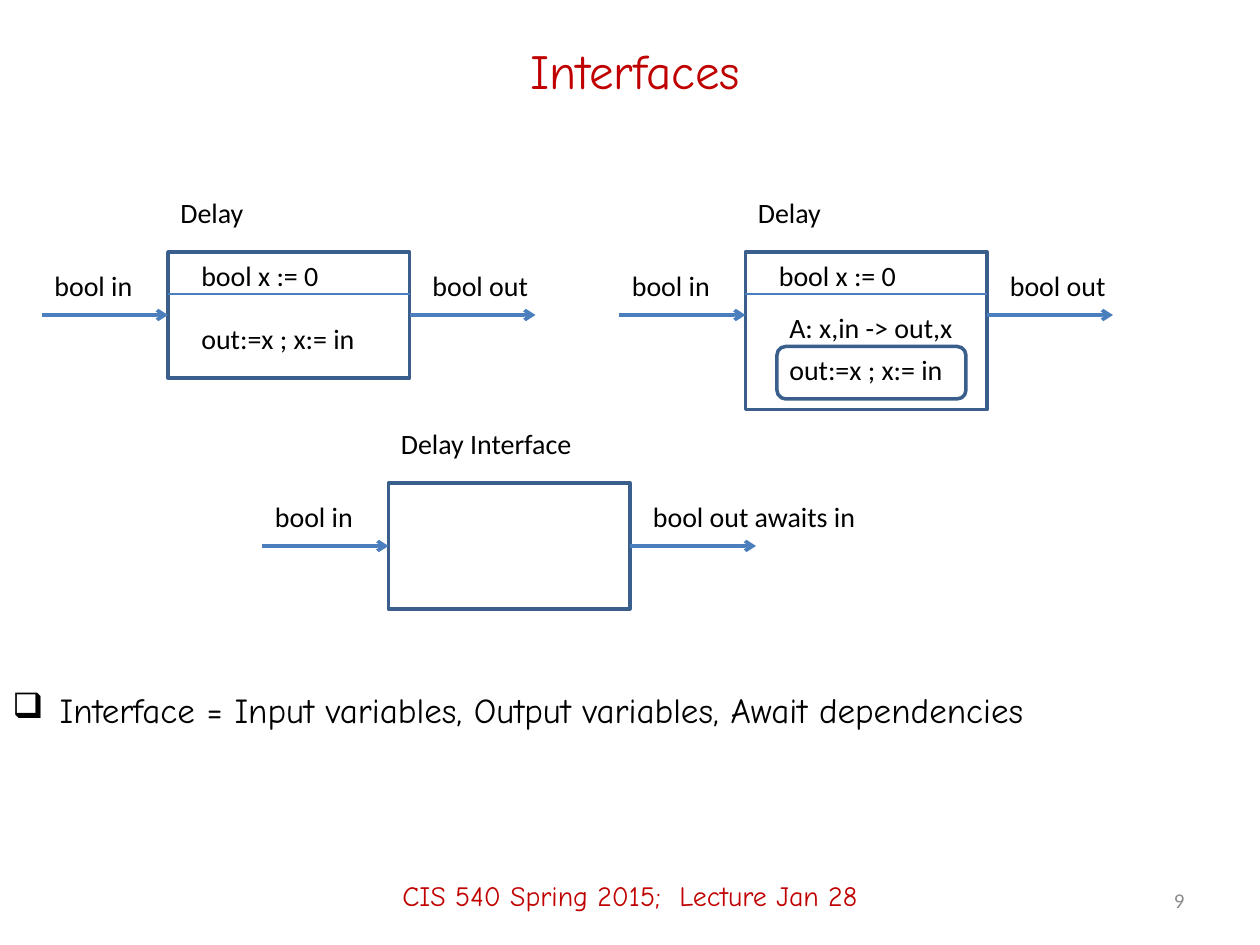
from lxml import etree
from pptx import Presentation, util as u
from pptx.dml.color import RGBColor
from pptx.enum import shapes, text
from pptx.oxml.ns import qn

RED = RGBColor(0xC0, 0x00, 0x00)
BLACK = RGBColor(0x00, 0x00, 0x00)
GREY = RGBColor(0x8C, 0x8C, 0x8C)
OUTLINE = RGBColor(0x3A, 0x5F, 0x8C)
ARROW = RGBColor(0x4B, 0x7E, 0xBC)

LABEL = dict(size=u.Pt(16), name="Calibri", color=BLACK)
TITLE = dict(size=u.Pt(28), name="Comic Neue", color=RED)
BODY = dict(size=u.Pt(20), name="Comic Neue", color=BLACK)
FOOTER = dict(size=u.Pt(16), name="Comic Neue", color=RED)
NUMBER = dict(size=u.Pt(12), name="Calibri", color=GREY)

BOX_W, ARROW_LEN, ARROW_Y, STATE_H = 184, 96, 48, 32
LABEL_H = 36

COMPONENTS = [
    dict(name=("Delay", 68), at=(128, 192), height=96, output=("bool out", 93),
         state=("bool x := 0", 109),
         code=[("out:=x ; x:= in", 16, 48, 137)]),
    dict(name=("Delay", 68), at=(568, 192), height=120, output=("bool out", 93),
         state=("bool x := 0", 109), task=(24, 72, 144, 40),
         code=[("out:=x ; x:= in", 24, 72, 137), ("A: x,in -> out,x", 24, 40, 145)]),
    dict(name=("Delay Interface", 151), at=(296, 368), height=96,
         output=("bool out awaits in", 176)),
]

TEXTS = [
    ("Interface = Input variables, Output variables, Await dependencies",
     (0, 520, 936, 88), BODY, text.PP_ALIGN.LEFT, text.MSO_ANCHOR.TOP),
    ("CIS 540 Spring 2015;  Lecture Jan 28",
     (0, 645, 960, 75), FOOTER, text.PP_ALIGN.CENTER, text.MSO_ANCHOR.MIDDLE),
    ("9", (688, 667, 224, 38), NUMBER, text.PP_ALIGN.RIGHT, text.MSO_ANCHOR.MIDDLE),
]


def px(*values):
    return [u.Emu(v * 9525) for v in values]


def write(sp, words, fmt, align=text.PP_ALIGN.LEFT, anchor=text.MSO_ANCHOR.TOP, wrap=True):
    tf = sp.text_frame
    tf.word_wrap, tf.vertical_anchor = wrap, anchor
    p = tf.paragraphs[0]
    p.alignment = align
    r = p.add_run()
    r.text = words
    for key, value in fmt.items():
        if key == "color":
            r.font.color.rgb = value
        else:
            setattr(r.font, key, value)
    return p


def add_label(parent, words, x, y, w):
    sp = parent.add_textbox(*px(x, y, w, LABEL_H))
    write(sp, words, LABEL, wrap=False)
    sp.text_frame.auto_size = text.MSO_AUTO_SIZE.SHAPE_TO_FIT_TEXT


def add_outline(parent, kind, *box):
    sp = parent.add_shape(kind, *px(*box))
    sp.shadow.inherit = False
    sp.fill.background()
    sp.line.color.rgb, sp.line.width = OUTLINE, u.Pt(2)
    return sp


def add_line(parent, x1, x2, y, width, arrow=False):
    cx = parent.add_connector(shapes.MSO_CONNECTOR.STRAIGHT, *px(x1, y, x2, y))
    cx.line.color.rgb, cx.line.width = ARROW, u.Pt(width)
    if arrow:
        etree.SubElement(cx.line._get_or_add_ln(), qn("a:tailEnd"), type="arrow")
    etree.SubElement(cx._element.spPr, qn("a:effectLst"))
    return cx


def add_component(s, c):
    g = s.shapes.add_group_shape().shapes
    x, y = c["at"]
    right = x + BOX_W
    box = add_outline(g, shapes.MSO_SHAPE.RECTANGLE, x, y, BOX_W, c["height"])
    out_arrow = add_line(g, right, right + ARROW_LEN, y + ARROW_Y, 2, True)
    in_arrow = add_line(g, x - ARROW_LEN, x, y + ARROW_Y, 2, True)
    if c["height"] == 2 * ARROW_Y:
        out_arrow.begin_connect(box, 3)
        in_arrow.end_connect(box, 1)
    add_label(g, "bool in", x - ARROW_LEN, y + 8, 80)
    words, w = c["output"]
    add_label(g, words, right + 8, y + 8, w)
    words, w = c["name"]
    add_label(g, words, x, y - 48, w)
    if "state" in c:
        add_line(g, x, right, y + STATE_H, 0.75)
        words, w = c["state"]
        add_label(g, words, x + 16, y, w)
    if "task" in c:
        dx, dy, w, h = c["task"]
        add_outline(g, shapes.MSO_SHAPE.ROUNDED_RECTANGLE, x + dx, y + dy, w, h)
    for words, dx, dy, w in c.get("code", []):
        add_label(g, words, x + dx, y + dy, w)


def add_bullet(p, char, indent):
    pPr = p._p.get_or_add_pPr()
    pPr.set("marL", str(indent))
    pPr.set("indent", str(-indent))
    etree.SubElement(pPr, qn("a:buChar"), char=char)


def main():
    prs = Presentation()
    prs.slide_width, prs.slide_height = px(960, 720)
    s = prs.slides.add_slide(prs.slide_layouts[5])
    title = s.shapes.title
    title.left, title.top, title.width, title.height = px(72, 16, 824, 75)
    write(title, "Interfaces", TITLE, text.PP_ALIGN.CENTER, text.MSO_ANCHOR.MIDDLE)
    for c in COMPONENTS:
        add_component(s, c)
    for words, box, fmt, align, anchor in TEXTS:
        p = write(s.shapes.add_textbox(*px(*box)), words, fmt, align, anchor)
        if fmt is BODY:
            add_bullet(p, "❑", px(36)[0])
    prs.save("out.pptx")


if __name__ == "__main__":
    main()
